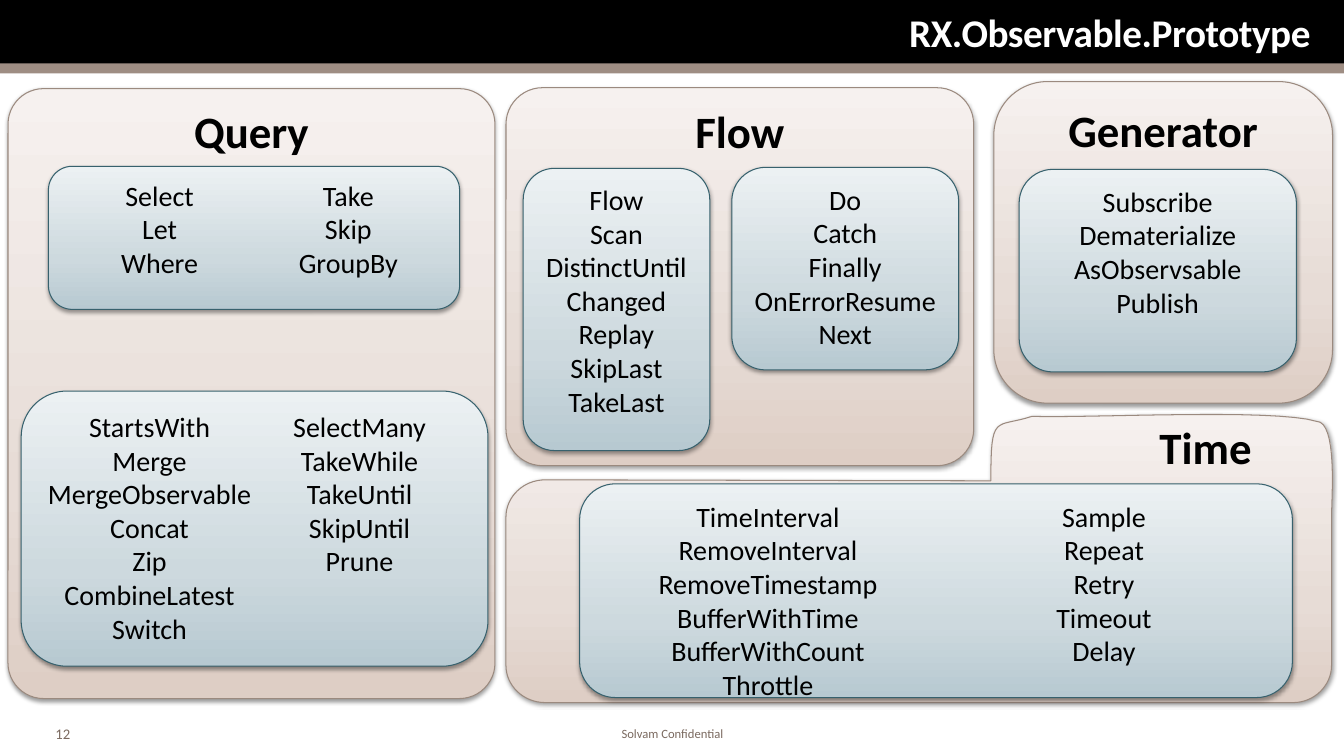
from lxml.etree import SubElement
from pptx import Presentation
from pptx.dml.color import RGBColor
from pptx.enum.shapes import MSO_SHAPE as Shape
from pptx.enum.text import MSO_ANCHOR as Anchor, PP_ALIGN as Align
from pptx.oxml.ns import qn
from pptx.util import Emu, Inches, Pt

FONT = "Calibri"
WIDTH, HEIGHT = Inches(13.333), Inches(7.5)
COLORS = {
    "black": "000000",
    "white": "FFFFFF",
    "stripe": "9E8D83",
    "footer": "7A695F",
    "group_line": "9B8A7F",
    "list_line": "37616D",
}
GRADIENTS = {
    "group": ("DECEC5", "E7DCD6", "F6F1EF"),
    "list": ("B7C9D1", "CDD9DE", "ECF1F3"),
}
STOPS = (0, 35, 100)

# Boxes are left, top, width, height in percent of the slide.
BARS = [
    ((0, 0, 100, 8.67), "black"),
    ((0, 93.47, 100, 6.53), "white"),
    ((0, 8.4, 100, 1.33), "stripe"),
]
GROUPS = [
    ("Query", (0.6, 11.73, 36.23, 80.67), 0.073),
    ("Flow", (37.65, 11.6, 34.8, 50), 0.097),
    ("Generator", (73.95, 10.8, 25.2, 42.53), 0.1667),
]
LISTS = [
    ((3.6, 22, 30.6, 18.93), 2, "Select Let Where Take Skip GroupBy"),
    ((1.58, 51.73, 34.73, 36.4), 2,
     "StartsWith Merge MergeObservable Concat Zip CombineLatest Switch "
     "SelectMany TakeWhile TakeUntil SkipUntil Prune"),
    ((38.93, 22.27, 13.88, 37.33), 1,
     "Flow Scan DistinctUntilChanged Replay SkipLast TakeLast"),
    ((54.45, 22.13, 16.88, 26.8), 1, "Do Catch Finally OnErrorResumeNext"),
    ((43.13, 64, 53.03, 28.27), 2,
     "TimeInterval RemoveInterval RemoveTimestamp BufferWithTime "
     "BufferWithCount Throttle Sample Repeat Retry Timeout Delay"),
    ((75.83, 22.4, 20.63, 26.8), 1,
     "Subscribe Dematerialize AsObservsable Publish"),
]
# One point is a straight segment, three points are a Bezier segment.
TIME_START = (37.65, 68.4)
TIME_SEGMENTS = [
    [(37.65, 65.73), (38.93, 63.47), (40.58, 63.47)],
    [(73.73, 63.6)],
    [(73.73, 54.53), (74.03, 56.67), (76.8, 55.07)],
    [(80.85, 55.33), (94.8, 54), (97.95, 55.73)],
    [(99.53, 55.73), (99.08, 65.73), (99.08, 68.4)],
    [(99.08, 88)],
    [(99.08, 90.67), (97.8, 92.93), (96.23, 92.93)],
    [(40.58, 92.93)],
    [(38.93, 92.93), (37.65, 90.67), (37.65, 88)],
]


def rgb(name):
    return RGBColor.from_string(COLORS[name])


def emu(x, y):
    return Emu(round(x * WIDTH / 100)), Emu(round(y * HEIGHT / 100))


def place(box):
    return *emu(*box[:2]), *emu(*box[2:])


def write(sp, text, size, color="black", bold=False, align=Align.CENTER):
    tf = sp.text_frame
    tf.word_wrap = True
    tf.text = text
    for p in tf.paragraphs:
        p.alignment = align
        for r in p.runs:
            r.font.name = FONT
            r.font.size = Pt(size)
            r.font.bold = bold
            r.font.color.rgb = rgb(color)
    return tf


def style_panel(sp, kind):
    """Apply the vertical gradient, thin outline and soft shadow."""
    sp.fill.gradient()
    sp.fill.gradient_angle = 90
    spPr = sp._element.spPr
    stops = spPr.find(f"{qn('a:gradFill')}/{qn('a:gsLst')}")
    stops.clear()
    for position, color in zip(STOPS, GRADIENTS[kind]):
        gs = SubElement(stops, qn("a:gs"), pos=str(position * 1000))
        SubElement(gs, qn("a:srgbClr"), val=color)
    sp.line.color.rgb = rgb(f"{kind}_line")
    sp.line.width = Pt(0.75)
    sp.shadow.inherit = False
    shadow = SubElement(spPr.find(qn("a:effectLst")), qn("a:outerShdw"),
                        blurRad=str(Pt(3.1)), dist=str(Pt(1.6)),
                        dir="5400000", rotWithShape="0")
    black = SubElement(shadow, qn("a:srgbClr"), val=COLORS["black"])
    SubElement(black, qn("a:alpha"), val="38000")


def add_bar(s, box, color):
    sp = s.shapes.add_shape(Shape.RECTANGLE, *place(box))
    sp.fill.solid()
    sp.fill.fore_color.rgb = rgb(color)
    sp.line.fill.background()
    sp.shadow.inherit = False


def add_panel(s, box, kind, corner=0.1667):
    sp = s.shapes.add_shape(Shape.ROUNDED_RECTANGLE, *place(box))
    sp.adjustments[0] = corner
    style_panel(sp, kind)
    sp.text_frame.vertical_anchor = Anchor.TOP
    return sp


def add_list(s, box, columns, names):
    sp = add_panel(s, box, "list")
    tf = write(sp, "\n".join(names.split()), 20)
    if columns > 1:
        tf._txBody.bodyPr.set("numCol", str(columns))


def bezier(start, controls, steps=16):
    points = (start, *controls)
    for i in range(1, steps + 1):
        t = i / steps
        weights = ((1 - t) ** 3, 3 * t * (1 - t) ** 2, 3 * t * t * (1 - t), t ** 3)
        yield tuple(sum(w * p[axis] for w, p in zip(weights, points))
                    for axis in (0, 1))


def add_time_panel(s):
    outline = [TIME_START]
    for segment in TIME_SEGMENTS:
        outline += bezier(outline[-1], segment) if len(segment) == 3 else segment
    builder = s.shapes.build_freeform(*emu(*TIME_START))
    builder.add_line_segments([emu(*point) for point in outline[1:]], close=True)
    sp = builder.convert_to_shape()
    style_panel(sp, "group")
    tf = write(sp, "Time", 32, bold=True, align=Align.RIGHT)
    tf.vertical_anchor = Anchor.TOP
    tf.margin_right = Inches(0.8)


def add_title(s, text):
    sp = s.shapes.title
    s.shapes._spTree.append(sp._element)  # in front of the black bar
    sp.left, sp.top, sp.width, sp.height = place((3.08, 0.93, 94.73, 6.67))
    tf = write(sp, text, 28, "white", True, Align.RIGHT)
    tf.vertical_anchor = Anchor.MIDDLE
    tf.margin_left = tf.margin_right = Inches(0.04)
    tf.margin_top = tf.margin_bottom = Inches(0.04)
    tf.paragraphs[0].runs[0].font._element.set("spc", "-30")


def add_footer(s, box, text, size, align):
    tf = write(s.shapes.add_textbox(*place(box)), text, size, "footer", align=align)
    tf.margin_left = tf.margin_right = Inches(0.09)
    tf.margin_top = tf.margin_bottom = Inches(0.04)


def main():
    prs = Presentation()
    prs.slide_width, prs.slide_height = WIDTH, HEIGHT
    s = prs.slides.add_slide(prs.slide_layouts[5])
    for bar in BARS:
        add_bar(s, *bar)
    add_footer(s, (3.45, 95.33, 3.75, 3.6), "12", 10.5, Align.LEFT)
    add_footer(s, (30.53, 95.47, 39, 3.2), "Solvam Confidential", 9, Align.CENTER)
    add_time_panel(s)
    add_title(s, "RX.Observable.Prototype")
    for name, box, corner in GROUPS:
        write(add_panel(s, box, "group", corner), name, 32, bold=True)
    for item in LISTS:
        add_list(s, *item)
    prs.save("out.pptx")


if __name__ == "__main__":
    main()
